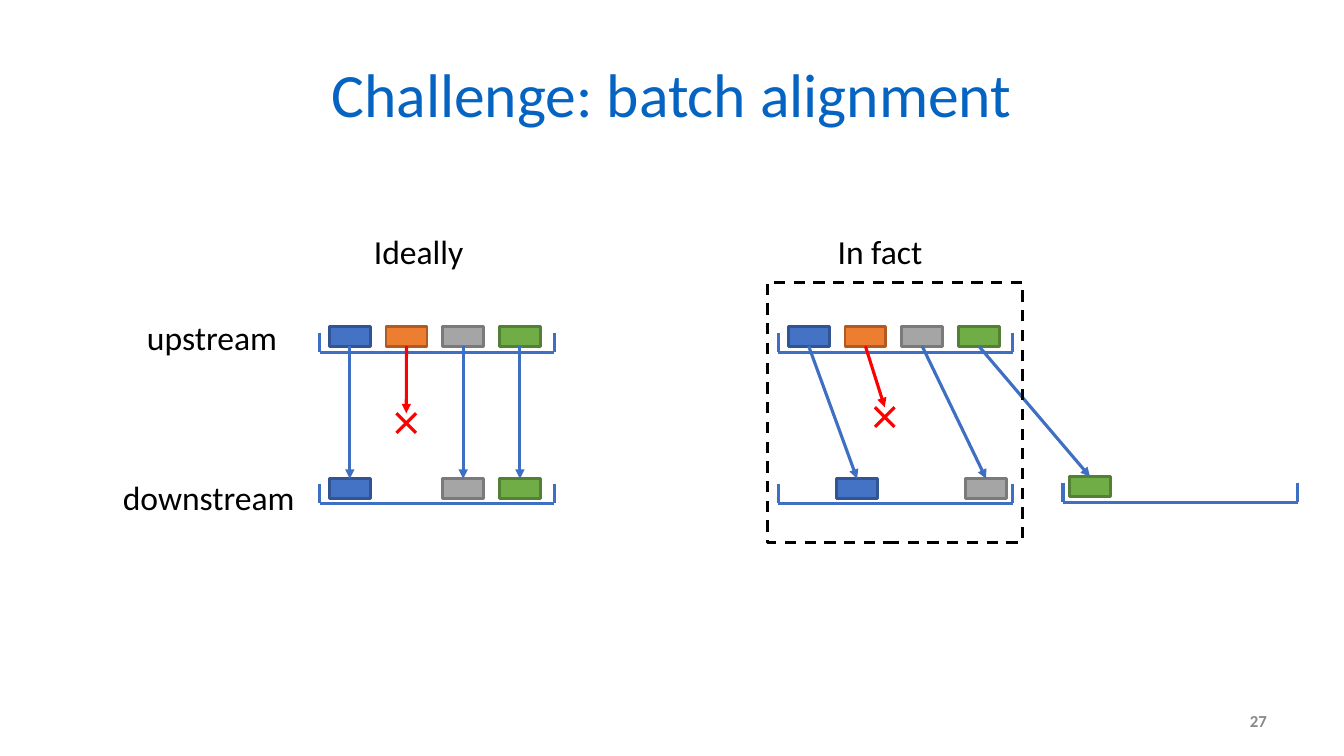
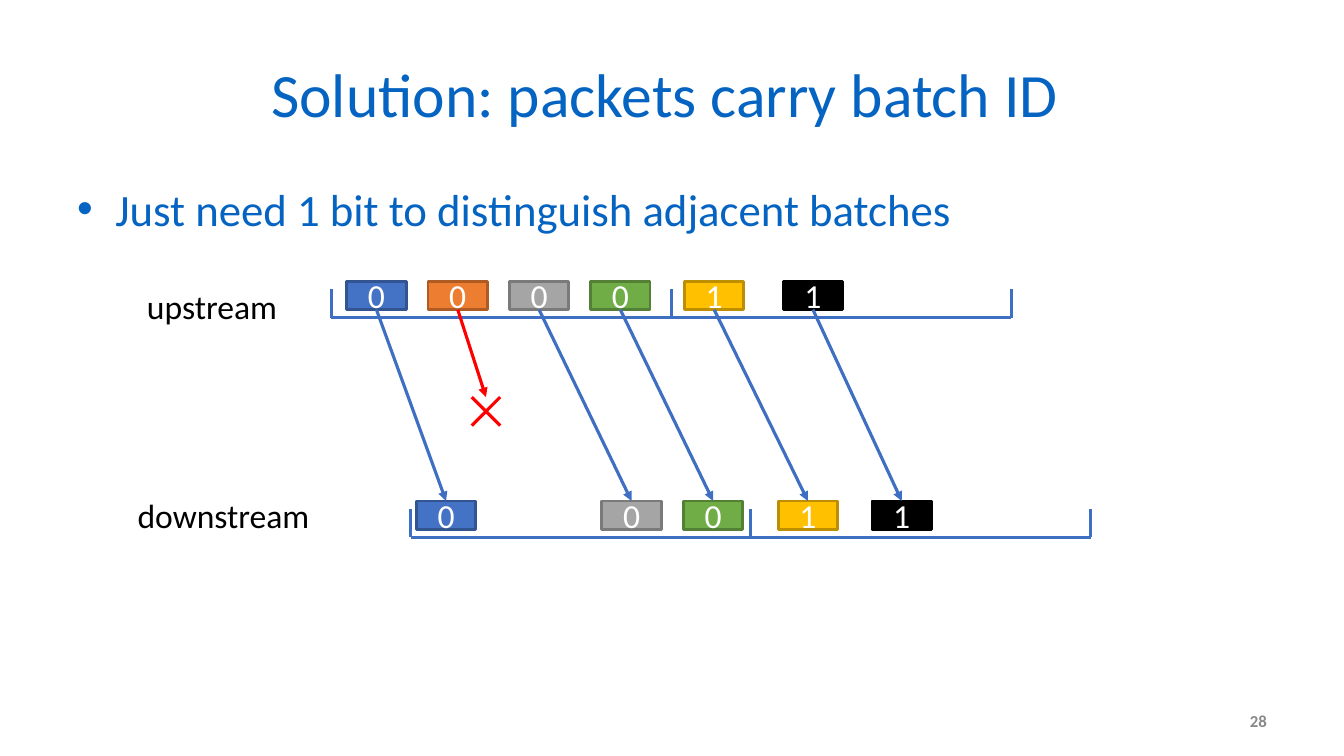
from collections import namedtuple

from lxml.etree import SubElement
from pptx import Presentation
from pptx.dml.color import RGBColor
from pptx.enum.dml import MSO_LINE
from pptx.enum.shapes import MSO_CONNECTOR, MSO_SHAPE
from pptx.enum.text import MSO_ANCHOR, PP_ALIGN
from pptx.oxml.ns import qn
from pptx.util import Inches, Pt

# Slide size; all positions and sizes are percentages of it
SLIDE_WIDTH, SLIDE_HEIGHT = Inches(13.333), Inches(7.5)

# Shared look
FONT = "Calibri"
HEADING_BLUE = RGBColor(0x05, 0x63, 0xC1)
LINE_BLUE = RGBColor(0x3F, 0x6F, 0xC3)
LOSS_RED = RGBColor(0xFF, 0x00, 0x00)
PAGE_GRAY = RGBColor(0x89, 0x89, 0x89)
BLACK = RGBColor(0x00, 0x00, 0x00)
WHITE = RGBColor(0xFF, 0xFF, 0xFF)

# Packet colours: fill and outline
Packet = namedtuple("Packet", "fill outline")
BLUE_PACKET = Packet(RGBColor(0x44, 0x72, 0xC4), RGBColor(0x32, 0x54, 0x91))
ORANGE_PACKET = Packet(RGBColor(0xED, 0x7D, 0x31), RGBColor(0xAF, 0x5C, 0x24))
GRAY_PACKET = Packet(RGBColor(0xA5, 0xA5, 0xA5), RGBColor(0x7A, 0x7A, 0x7A))
GREEN_PACKET = Packet(RGBColor(0x70, 0xAD, 0x47), RGBColor(0x53, 0x80, 0x35))
YELLOW_PACKET = Packet(RGBColor(0xFF, 0xC0, 0x00), RGBColor(0xBD, 0x8E, 0x00))
BLACK_PACKET = Packet(BLACK, BLACK)
FIRST_BATCH = (BLUE_PACKET, ORANGE_PACKET, GRAY_PACKET, GREEN_PACKET)

# Diagram parts at scale 1
PACKET_WIDTH, BATCH_WIDTH, CROSS_WIDTH = 3.05, 17.45, 1.46
PART_HEIGHT = 2.6
TOP_SITE, BOTTOM_SITE = 0, 2


def across(share):
    return round(SLIDE_WIDTH * share / 100)


def down(share):
    return round(SLIDE_HEIGHT * share / 100)


def area(left, top, width, height):
    return across(left), down(top), across(width), down(height)


def add_text(slide, box, text, size, color, align=PP_ALIGN.LEFT,
             anchor=MSO_ANCHOR.TOP, bold=False, wrap=True, bullet=False):
    frame = slide.shapes.add_textbox(*area(*box)).text_frame
    frame.word_wrap = wrap
    frame.vertical_anchor = anchor
    paragraph = frame.paragraphs[0]
    paragraph.text = text
    paragraph.alignment = align
    if bullet:
        properties = paragraph._p.get_or_add_pPr()
        indent = Inches(0.38)
        properties.set("marL", str(indent))
        properties.set("indent", str(-indent))
        SubElement(properties, qn("a:buFont")).set("typeface", "Arial")
        SubElement(properties, qn("a:buChar")).set("char", "•")
    style_font(paragraph, size, color, bold)


def style_font(paragraph, size, color, bold=False):
    font = paragraph.font
    font.name, font.size, font.bold = FONT, Pt(size), bold
    font.color.rgb = color


def add_label(slide, left, top, width, text):
    add_text(slide, (left, top, width, 6.67), text, 24, BLACK, wrap=False)


def add_line(slide, start, end, color=LINE_BLUE, arrow=False):
    line = slide.shapes.add_connector(
        MSO_CONNECTOR.STRAIGHT, across(start[0]), down(start[1]),
        across(end[0]), down(end[1]))
    line.line.color.rgb = color
    line.line.width = Pt(2.25)
    if arrow:
        SubElement(line.line._get_or_add_ln(), qn("a:tailEnd")).set("type", "triangle")
    SubElement(line._element.spPr, qn("a:effectLst"))
    return line


def add_batch(slide, left, top, scale=1):
    """Open bracket that holds one batch of packets."""
    right, bottom = left + BATCH_WIDTH * scale, top + PART_HEIGHT * scale
    add_line(slide, (left, bottom), (right, bottom))
    for side in (left, right):
        add_line(slide, (side, top), (side, bottom))


def add_packet(slide, packet, left, top, scale=1, batch_id=""):
    box = slide.shapes.add_shape(
        MSO_SHAPE.RECTANGLE,
        *area(left, top, PACKET_WIDTH * scale, PART_HEIGHT * scale))
    box.shadow.inherit = False
    box.fill.solid()
    box.fill.fore_color.rgb = packet.fill
    box.line.color.rgb = packet.outline
    box.line.width = Pt(2)
    if batch_id:
        box.text_frame.vertical_anchor = MSO_ANCHOR.MIDDLE
        paragraph = box.text_frame.paragraphs[0]
        paragraph.text = batch_id
        paragraph.alignment = PP_ALIGN.CENTER
        style_font(paragraph, 24, WHITE)
    return box


def add_delivery(slide, packet, sent, received, scale=1, batch_id=""):
    """Packet at both ends, joined by an arrow."""
    sender = add_packet(slide, packet, *sent, scale, batch_id)
    receiver = add_packet(slide, packet, *received, scale, batch_id)
    arrow = add_line(slide, sent, received, arrow=True)
    arrow.begin_connect(sender, BOTTOM_SITE)
    arrow.end_connect(receiver, TOP_SITE)


def add_loss(slide, packet, sent, cross, scale=1, batch_id=""):
    """Packet whose red arrow ends at a cross."""
    sender = add_packet(slide, packet, *sent, scale, batch_id)
    left, top = cross
    right, bottom = left + CROSS_WIDTH * scale, top + PART_HEIGHT * scale
    arrow = add_line(slide, sent, ((left + right) / 2, top), LOSS_RED, arrow=True)
    arrow.begin_connect(sender, BOTTOM_SITE)
    add_line(slide, (right, top), (left, bottom), LOSS_RED)
    add_line(slide, (left, top), (right, bottom), LOSS_RED)


def add_first_batch(slide, left, top, pitch, received, cross, scale=1, batch_id=""):
    """Four evenly spaced packets; the one received nowhere is lost."""
    for index, (packet, target) in enumerate(zip(FIRST_BATCH, received)):
        sent = (left + index * pitch, top)
        if target:
            add_delivery(slide, packet, sent, target, scale, batch_id)
        else:
            add_loss(slide, packet, sent, cross, scale, batch_id)


def start_slide(deck, title, page):
    slide = deck.slides.add_slide(deck.slide_layouts[6])
    add_text(slide, (5, 4, 90, 16.67), title, 44, HEADING_BLUE,
             PP_ALIGN.CENTER, MSO_ANCHOR.MIDDLE)
    add_text(slide, (71.7, 92.67, 23.3, 5.33), page, 12, PAGE_GRAY,
             PP_ALIGN.RIGHT, MSO_ANCHOR.MIDDLE, bold=True)
    return slide


def build_challenge(deck):
    slide = start_slide(deck, "Challenge: batch alignment", "27")
    sent_top, received_top, pitch = 43.2, 63.33, 4.22
    ideal_left, fact_left = 24.5, 58.65

    # Batches
    for left in (23.78, 57.9):
        for top in (44, 64):
            add_batch(slide, left, top)
    add_batch(slide, 79.1, 63.87)

    # Ideally: every packet drops straight down
    straight = [(ideal_left + index * pitch, received_top) for index in range(4)]
    straight[1] = None
    add_first_batch(slide, ideal_left, sent_top, pitch, straight, (29.5, 54.67))

    # In fact: packets drift, the last one into the next batch
    drifted = [(62.25, received_top), None, (71.85, received_top), (79.58, 63.07)]
    add_first_batch(slide, fact_left, sent_top, pitch, drifted, (65.1, 53.87))

    # Dashed window around one batch
    window = slide.shapes.add_shape(MSO_SHAPE.RECTANGLE, *area(57.08, 37.33, 18.98, 34.4))
    window.shadow.inherit = False
    window.fill.background()
    window.line.color.rgb = BLACK
    window.line.width = Pt(2)
    window.line.dash_style = MSO_LINE.DASH

    # Labels
    add_label(slide, 27.08, 29.87, 8.25, "Ideally")
    add_label(slide, 61.58, 29.87, 7.88, "In fact")
    add_label(slide, 10.2, 41.2, 11.33, "upstream")
    add_label(slide, 8.4, 62.4, 14.4, "downstream")


def build_solution(deck):
    slide = start_slide(deck, "Solution: packets carry batch ID ", "28")
    add_text(slide, (5, 23.33, 90, 66), "Just need 1 bit to distinguish adjacent batches",
             32, HEADING_BLUE, bullet=True)
    scale, sent_top, received_top = 1.45, 37.2, 66.27

    # Two adjacent batches at each end
    for left, top in ((24.65, 38.27), (30.56, 67.33)):
        for index in range(2):
            add_batch(slide, left + index * BATCH_WIDTH * scale, top, scale)

    # Batch 0
    received = [(30.98, received_top), None, (44.78, received_top), (50.85, received_top)]
    add_first_batch(slide, 25.8, sent_top, 6.05, received, (35.1, 52.53), scale, "0")

    # Batch 1
    for packet, sent_left, received_left in ((YELLOW_PACKET, 50.93, 57.9),
                                             (BLACK_PACKET, 58.28, 64.88)):
        add_delivery(slide, packet, (sent_left, sent_top),
                     (received_left, received_top), scale, "1")

    # Labels
    add_label(slide, 10.2, 37.2, 11.33, "upstream")
    add_label(slide, 9.5, 64.8, 14.4, "downstream")


def main():
    deck = Presentation()
    deck.slide_width, deck.slide_height = SLIDE_WIDTH, SLIDE_HEIGHT
    build_challenge(deck)
    build_solution(deck)
    deck.save("out.pptx")


if __name__ == "__main__":
    main()
